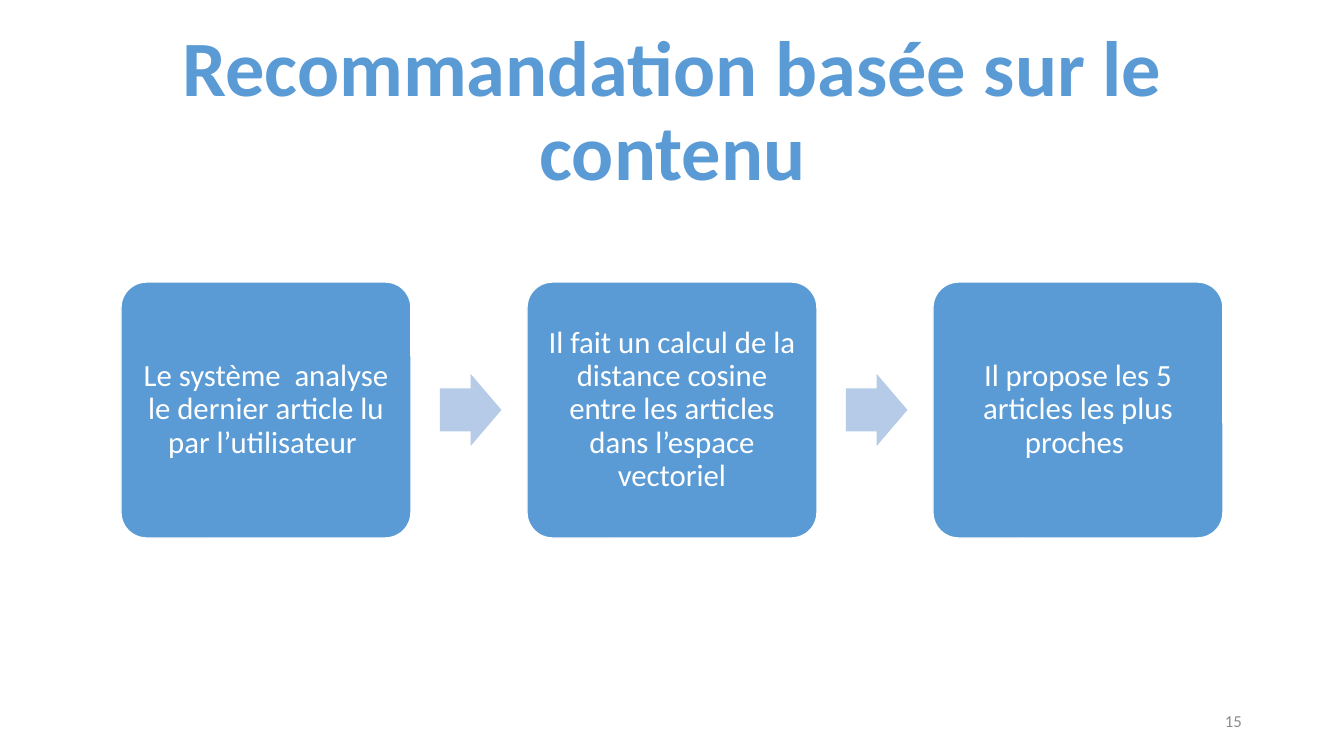
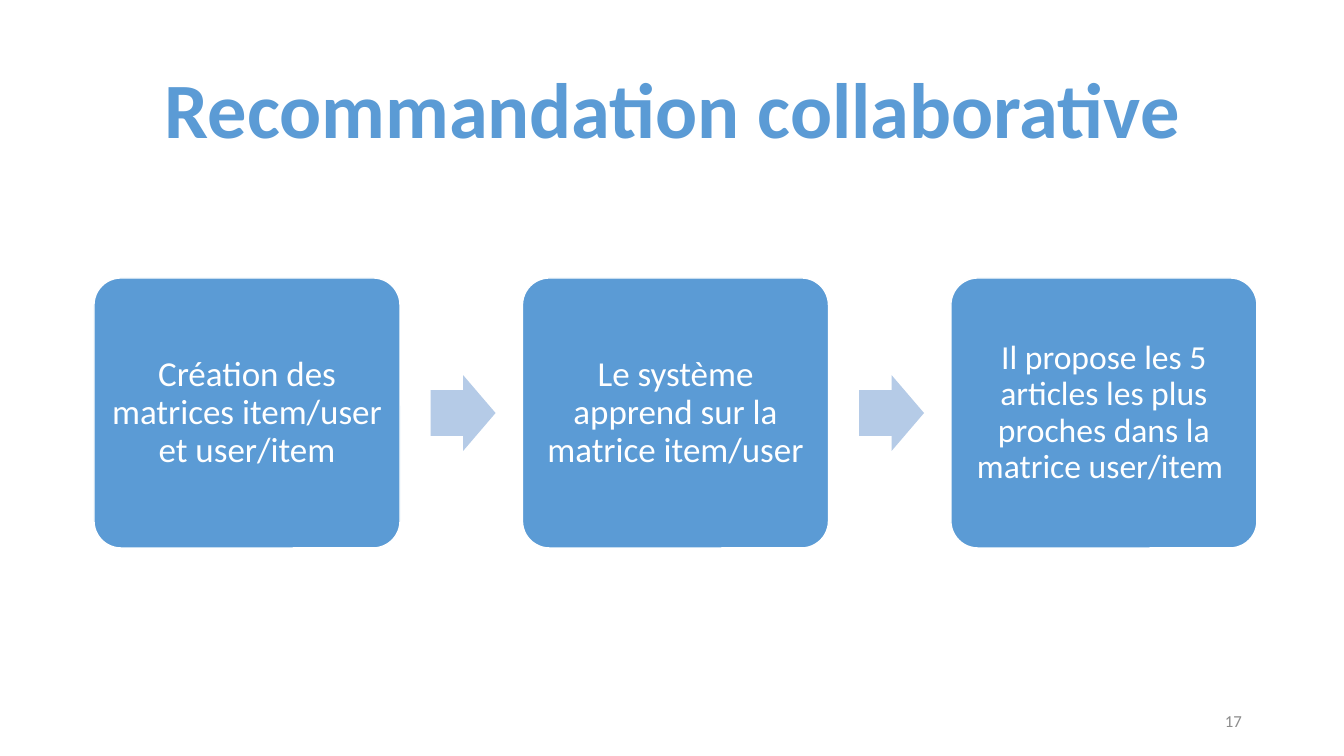
from pptx import Presentation
from pptx.dml.color import RGBColor
from pptx.enum.shapes import MSO_SHAPE
from pptx.enum.text import MSO_ANCHOR, MSO_AUTO_SIZE, PP_ALIGN
from pptx.util import Emu, Pt

# Shared style
PX = 914400 / 100.8
FONT = "Calibri"
BLUE, PALE_BLUE, GREY, WHITE = "5B9BD5", "B5CBE7", "8C8C8C", "FFFFFF"
TITLE_BOX = (93, 40, 1159, 146)
NUMBER_BOX = (950, 701, 302, 40)


def px(n):
    return Emu(round(n * PX))


def rgb(color):
    return RGBColor.from_string(color)


def write(s, text, size, color, align, bold=False, spacing=None):
    tf = s.text_frame
    tf.word_wrap = True
    tf.auto_size = MSO_AUTO_SIZE.NONE
    tf.vertical_anchor = MSO_ANCHOR.MIDDLE
    tf.text = text
    p = tf.paragraphs[0]
    p.alignment = align
    p.line_spacing = spacing
    p.font.name, p.font.size, p.font.bold = FONT, Pt(size), bold
    p.font.color.rgb = rgb(color)
    return tf


def add_block(slide, kind, box, fill, adjustments):
    s = slide.shapes.add_shape(kind, *map(px, box))
    s.shadow.inherit = False
    s.fill.solid()
    s.fill.fore_color.rgb = rgb(fill)
    s.line.fill.background()
    for i, value in enumerate(adjustments):
        s.adjustments[i] = value
    return s


def add_card(slide, box, text, size, inset):
    s = add_block(slide, MSO_SHAPE.ROUNDED_RECTANGLE, box, BLUE, [0.1])
    s.line.color.rgb = rgb(WHITE)
    s.line.width = Pt(1)
    tf = write(s, text, size, WHITE, PP_ALIGN.CENTER, spacing=0.9)
    tf.margin_left = tf.margin_right = px(inset)
    tf.margin_top = tf.margin_bottom = px(inset)


def add_process(slide, box, steps, inset):
    """Row of cards joined by arrows; the gaps are 40 % of a card's width."""
    left, top, width, height = box
    card_w = width / (len(steps) + 0.4 * (len(steps) - 1))
    arrow_w, arrow_h = 0.212 * card_w, 0.248 * card_w
    for i, (text, size) in enumerate(steps):
        x = left + 1.4 * card_w * i
        add_card(slide, (x, top, card_w, height), text, size, inset)
        if i < len(steps) - 1:
            arrow = (x + 1.1 * card_w, top + (height - arrow_h) / 2, arrow_w, arrow_h)
            add_block(slide, MSO_SHAPE.RIGHT_ARROW, arrow, PALE_BLUE, [0.6, 0.5])


def add_process_slide(prs, title, number, box, steps, inset):
    slide = prs.slides.add_slide(prs.slide_layouts[5])
    # Title
    s = slide.shapes.title
    s.left, s.top, s.width, s.height = map(px, TITLE_BOX)
    write(s, title, 56, BLUE, PP_ALIGN.CENTER, bold=True, spacing=0.9)
    # Slide number
    s = slide.shapes.add_textbox(*map(px, NUMBER_BOX))
    write(s, number, 12, GREY, PP_ALIGN.RIGHT)
    # Process
    add_process(slide, box, steps, inset)


prs = Presentation()
prs.slide_width, prs.slide_height = px(1344), px(756)

add_process_slide(
    prs, "Recommandation basée sur le contenu", "15", (121, 282, 1102, 256),
    [("Le système  analyse le dernier article lu par l’utilisateur ", 22),
     ("Il fait un calcul de la distance cosine entre les articles dans l’espace vectoriel", 22),
     ("Il propose les 5 articles les plus proches ", 22)], 9)

add_process_slide(
    prs, "Recommandation collaborative", "17", (94, 278, 1163, 270),
    [("Création des matrices item/user et user/item", 25),
     ("Le système apprend sur la matrice item/user", 25),
     ("Il propose les 5 articles les plus proches dans la matrice user/item ", 24)], 10)

prs.save("out.pptx")
